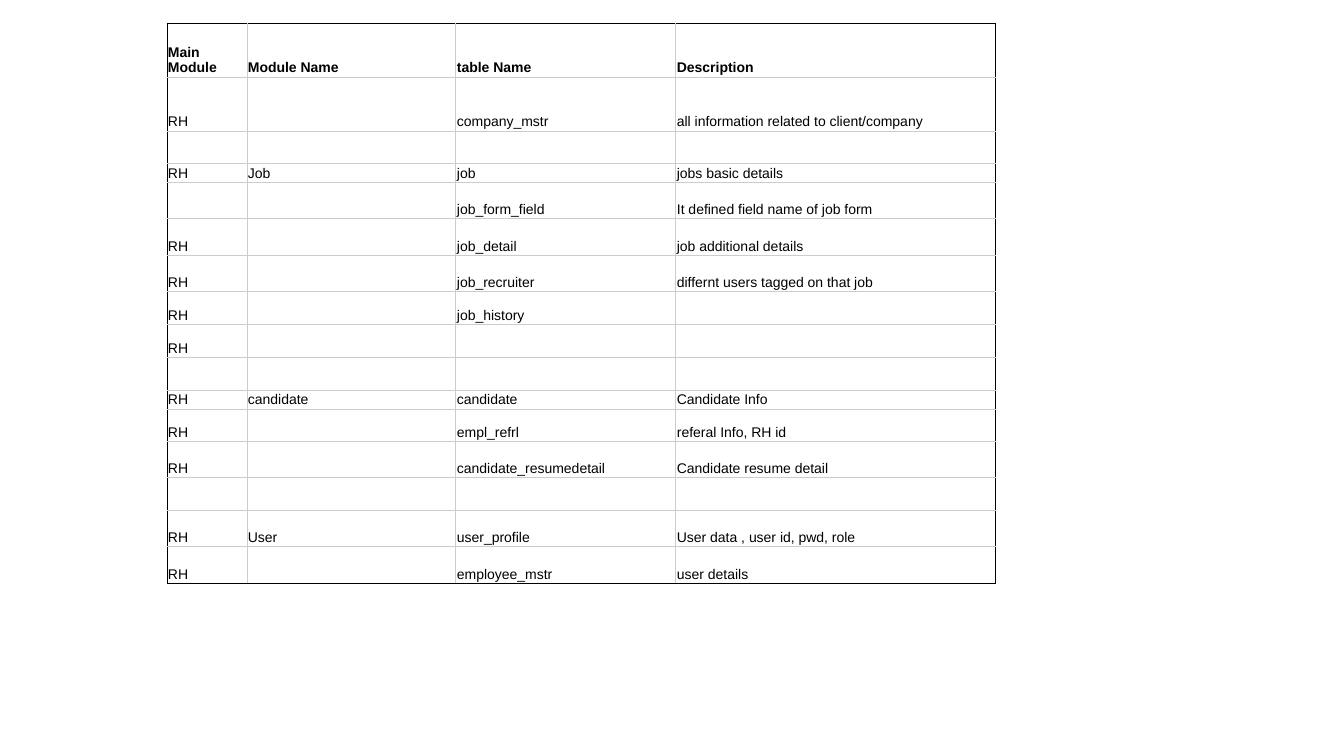
"""Build a slide with one table that lists database tables by module."""
from lxml.etree import SubElement
from pptx import Presentation
from pptx.dml.color import RGBColor as Rgb
from pptx.enum.text import MSO_ANCHOR as Anchor
from pptx.oxml.ns import qn
from pptx.util import Pt

THEME = {"font": "Arial", "size": 10, "text": "000000",
         "frame": "000000", "grid": "CCCCCC", "line": 0.75}
PX = 914400 / 100.8


def px(length):
    return round(length * PX)


def write(cell, text, bold=False, size=THEME["size"], color=THEME["text"]):
    cell.margin_left = cell.margin_right = px(1)
    cell.margin_top = cell.margin_bottom = px(1)
    cell.vertical_anchor = Anchor.BOTTOM
    if text:
        run = cell.text_frame.paragraphs[0].add_run()
        run.text = text
        run.font.name = THEME["font"]
        run.font.size = Pt(size)
        run.font.bold = bold
        run.font.color.rgb = Rgb.from_string(color)


column_widths = [80, 209, 220, 320]
entries = [
    (54, "Main Module", "Module Name", "table Name", "Description"),
    (54, "RH", "", "company_mstr", "all information related to client/company"),
    (30, "", "", "", ""),
    (19, "RH", "Job", "job", "jobs basic details"),
    (36, "", "", "job_form_field", "It defined field name of job form"),
    (37, "RH", "", "job_detail", "job additional details"),
    (36, "RH", "", "job_recruiter", "differnt users tagged on that job"),
    (30, "RH", "", "job_history", ""),
    (30, "RH", "", "", ""),
    (30, "", "", "", ""),
    (19, "RH", "candidate", "candidate", "Candidate Info"),
    (30, "RH", "", "empl_refrl", "referal Info, RH id"),
    (36, "RH", "", "candidate_resumedetail", "Candidate resume detail"),
    (30, "", "", "", ""),
    (36, "RH", "User", "user_profile", "User data , user id, pwd, role"),
    (37, "RH", "", "employee_mstr", "user details"),
]
last_row, last_column = len(entries) - 1, len(column_widths) - 1

deck = Presentation()
deck.slide_width, deck.slide_height = px(1344), px(756)
slide = deck.slides.add_slide(deck.slide_layouts[6])

modules = slide.shapes.add_table(
    len(entries), len(column_widths), px(167), px(23),
    px(sum(column_widths)), px(sum(entry[0] for entry in entries))).table
modules.first_row = modules.horz_banding = False

for column, width in zip(modules.columns, column_widths):
    column.width = px(width)

for r, (height, *texts) in enumerate(entries):
    modules.rows[r].height = px(height)
    for c, text in enumerate(texts):
        cell = modules.cell(r, c)
        write(cell, text, bold=r == 0)
        on_frame = {"a:lnL": c == 0, "a:lnR": c == last_column,
                    "a:lnT": r == 0, "a:lnB": r == last_row}
        for side, outer in on_frame.items():
            border = SubElement(cell._tc.get_or_add_tcPr(), qn(side),
                                w=str(Pt(THEME["line"])))
            paint = SubElement(border, qn("a:solidFill"))
            SubElement(paint, qn("a:srgbClr"),
                       val=THEME["frame" if outer else "grid"])
        cell.fill.background()

deck.save("out.pptx")
